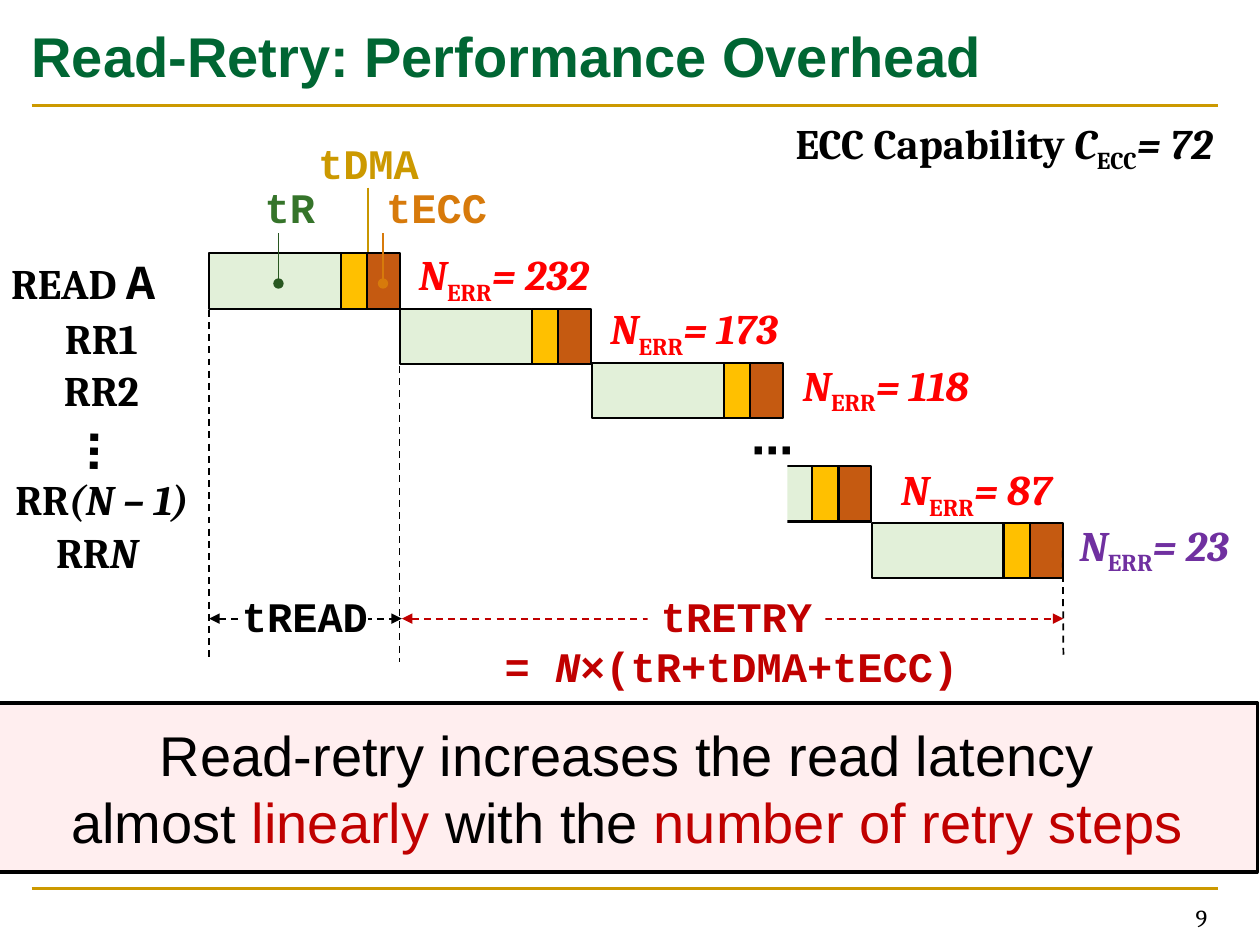
"""Build the slide on the performance overhead of read-retry."""
import pptx
import pptx.util
import pptx.dml.color
import pptx.enum.dml
import pptx.enum.shapes
import pptx.enum.text
import lxml.etree
from pptx.oxml.ns import qn

COLORS = {
    "black": "000000", "white": "FFFFFF", "gold": "CC9900", "title": "006633",
    "tR": "35742A", "tR line": "285720", "tDMA line": "C89600", "tECC": "D77A0B",
    "read": "E2F0D9", "dma": "FFC000", "ecc": "C55A11", "banner": "FFEEEF",
    "error": "FF0000", "success": "7030A0", "retry": "C00000",
}
SERIF, MONO, SANS = "Cambria", "Courier New", "Arial"
ALIGN = pptx.enum.text.PP_ALIGN

deck = pptx.Presentation()
deck.slide_width = pptx.util.Inches(10)
deck.slide_height = pptx.util.Inches(7.5)
COL = deck.slide_width / 100
ROW = deck.slide_height / 75
slide = deck.slides.add_slide(deck.slide_layouts[6])


def box(x, y, w, h, paragraphs=(), font=SERIF, size=24, color="black", bold=True,
        fill=None, outline=None, weight=1.25, align=ALIGN.CENTER, left=0, right=0):
    frame = (round(x * COL), round(y * ROW), round(w * COL), round(h * ROW))
    if fill:
        shape = slide.shapes.add_shape(pptx.enum.shapes.MSO_SHAPE.RECTANGLE, *frame)
        shape.shadow.inherit = False
        shape.fill.solid()
        shape.fill.fore_color.rgb = pptx.dml.color.RGBColor.from_string(COLORS[fill])
        if outline:
            shape.line.color.rgb = pptx.dml.color.RGBColor.from_string(COLORS[outline])
            shape.line.width = pptx.util.Pt(weight)
        else:
            shape.line.fill.background()
    else:
        shape = slide.shapes.add_textbox(*frame)
    body = shape.text_frame
    body.word_wrap = True
    body.vertical_anchor = pptx.enum.text.MSO_ANCHOR.MIDDLE
    body.margin_top = body.margin_bottom = 0
    body.margin_left, body.margin_right = round(left * COL), round(right * COL)
    for number, runs in enumerate(paragraphs):
        paragraph = body.add_paragraph() if number else body.paragraphs[0]
        paragraph.alignment = align
        for words, style in runs:
            run = paragraph.add_run()
            run.text = words
            run.font.name = style.get("font", font)
            run.font.size = pptx.util.Pt(style.get("size", size))
            run.font.bold = bold
            run.font.italic = style.get("italic", False)
            run.font.color.rgb = pptx.dml.color.RGBColor.from_string(
                COLORS[style.get("color", color)])
            if "baseline" in style:
                run._r.get_or_add_rPr().set("baseline", style["baseline"])
    return shape


def line(x1, y1, x2, y2, color, weight=1, dashed=False, head=None, tail=None):
    connector = slide.shapes.add_connector(
        pptx.enum.shapes.MSO_CONNECTOR.STRAIGHT,
        round(x1 * COL), round(y1 * ROW), round(x2 * COL), round(y2 * ROW))
    connector.line.color.rgb = pptx.dml.color.RGBColor.from_string(COLORS[color])
    connector.line.width = pptx.util.Pt(weight)
    if dashed:
        connector.line.dash_style = pptx.enum.dml.MSO_LINE.DASH
    for tag, end in (("a:headEnd", head), ("a:tailEnd", tail)):
        if end:
            lxml.etree.SubElement(connector.line._get_or_add_ln(), qn(tag), type=end)
    lxml.etree.SubElement(connector._element.spPr, qn("a:effectLst"))
    return connector


ITALIC = {"italic": True}
SUBSCRIPT = {"baseline": "-25000"}

for rule_y in (8.4, 70.5):
    line(2.5, rule_y, 96.7, rule_y, "gold", 1.5)
box(2.5, 0.4, 94.2, 7.9, [[("Read-Retry: Performance Overhead", {})]],
    SANS, 32, "title", align=ALIGN.LEFT)
box(73.5, 71.1, 23.3, 3.4, [[("9", {})]], size=14, bold=False,
    align=ALIGN.RIGHT, right=1)
box(58.1, 9.1, 43.2, 5, [[("ECC Capability", {}), (" C", ITALIC),
                          ("ECC", SUBSCRIPT), ("= 72", ITALIC)]])
box(-0.2, 55.8, 100, 13.4,
    [[("Read-retry increases the read latency", {})],
     [("almost ", {}), ("linearly ", {"color": "retry"}), ("with the", {}),
      (" number of retry steps", {"color": "retry"})]],
    SANS, 32, bold=False, fill="banner", outline="black", weight=2)

for name, x, y, w, color, left in (("tR", 10.1, 14.4, 25.8, "tR", 0),
                                   ("tDMA", 12.1, 10.9, 34.3, "gold", 0),
                                   ("tECC", 28.9, 14.4, 10.7, "tECC", 0.8)):
    box(x, y, w, 4, [[(name, {})]], MONO, color=color, left=left)
line(29.2, 14.9, 29.2, 22.5, "tDMA line", tail="oval")

for x, y, w, h, runs in (
        (-3, 19.9, 18.4, 4.7, [("READ ", {}), ("A", {"font": MONO, "size": 28})]),
        (-1.3, 24.8, 17.9, 4, [("RR1", {})]),
        (-1.3, 28.9, 17.9, 4, [("RR2", {})]),
        (-6.7, 37.6, 28.8, 4, [("RR", {}), ("(N – 1)", ITALIC)]),
        (-7.1, 41.8, 28.8, 4, [("RR", {}), ("N", ITALIC)])):
    box(x, y, w, h, [runs], left=0.8)

STEPS = ((16.6, 20.1, 30.2, 19.5, "232", "error"),
         (31.75, 24.5, 45.3, 23.8, "173", "error"),
         (47, 28.8, 60.5, 28.3, "118", "error"),
         (54, 37, 67.7, 36.6, "87", "error"),
         (69.2, 41.5, 81.8, 41, "23", "success"))
for bar_x, bar_y, label_x, label_y, errors, color in STEPS:
    for offset, width, phase in ((0, 10.5, "read"), (10.45, 2.1, "dma"),
                                 (12.55, 2.6, "ecc")):
        segment = box(bar_x + offset, bar_y, width, 4.4, fill=phase, outline="black")
    box(label_x, label_y, 19.6, 5,
        [[("N", ITALIC), ("ERR", SUBSCRIPT), ("= " + errors, ITALIC)]], color=color)
box(53.6, 36.5, 8.9, 5.4, fill="white")

for x, color in ((22.1, "tR line"), (30.4, "tECC")):
    line(x, 18.5, x, 22.5, color, tail="oval")

ELLIPSIS = [[("⋯", {})]]
box(5.5, 32.5, 4.3, 6.7, ELLIPSIS, "Calibri").rotation = 91
box(59.3, 33.5, 4, 4.3, ELLIPSIS, "Calibri")

line(16.6, 24.6, 16.6, 52.5, "black", dashed=True)
line(31.7, 25.2, 31.7, 52.5, "black", dashed=True)
line(84.4, 43.7, 84.4, 52.1, "black", dashed=True).begin_connect(segment, 3)

for start, end, color in ((16.6, 31.9, "black"), (31.9, 84.4, "retry")):
    line(start, 49.1, end, 49.1, color, dashed=True, head="triangle", tail="triangle")
for x, y, w, color, runs in (
        (19.2, 46.9, 10, "black", [("tREAD", {})]),
        (51.4, 46.9, 14.1, "retry", [("tRETRY", {})]),
        (39.6, 50.8, 36.9, "retry", [("= N×", ITALIC), ("(tR+tDMA+tECC)", {})])):
    box(x, y, w, 4, [runs], MONO, color=color, fill="white")

deck.save("out.pptx")
